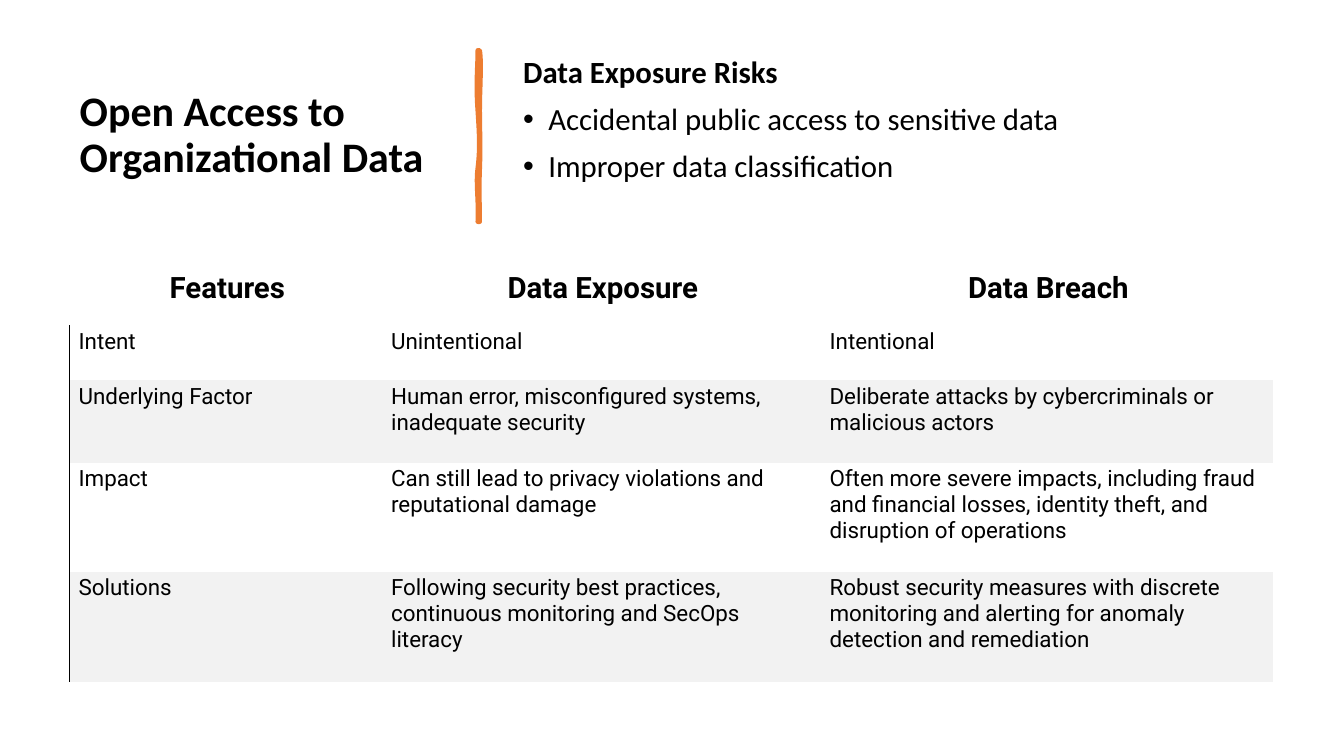
from dataclasses import dataclass

from lxml import etree
from pptx import Presentation
from pptx import util as u
from pptx.dml.color import RGBColor
from pptx.enum import text as t
from pptx.oxml import ns

Pt = u.Pt


# Theme: colours, fonts and type sizes
@dataclass(frozen=True)
class Theme:
    ink: str = "000000"
    accent: str = "ED7D31"
    band: str = "F2F2F2"
    heading_font: str = "Calibri"
    table_font: str = "Roboto"
    title_size: float = 30
    body_size: float = 22
    header_size: float = 21
    cell_size: float = 16


@dataclass(frozen=True)
class Box:
    left: float
    top: float
    width: float
    height: float


@dataclass(frozen=True)
class FeatureRow:
    height: float
    cells: tuple[str, str, str]


THEME = Theme()
TITLE_BOX = Box(49.7, 39.6, 269.3, 115.2)
BODY_BOX = Box(366.5, 39.6, 542.9, 115.2)
TABLE_BOX = Box(49.7, 186.5, 859.7, 300.5)
COLUMN_WIDTHS = (223.2, 313.2, 323.3)
BODY_LINES = (
    "Data Exposure Risks",
    "Accidental public access to sensitive data",
    "Improper data classification",
)
ROWS = (
    FeatureRow(46, ("Features", "Data Exposure", "Data Breach")),
    FeatureRow(39.3, ("Intent", "Unintentional", "Intentional")),
    FeatureRow(58.7, (
        "Underlying Factor",
        "Human error, misconfigured systems, inadequate security",
        "Deliberate attacks by cybercriminals or malicious actors",
    )),
    FeatureRow(78, (
        "Impact",
        "Can still lead to privacy violations and reputational damage",
        "Often more severe impacts, including fraud and financial losses, "
        "identity theft, and disruption of operations",
    )),
    FeatureRow(78.5, (
        "Solutions",
        "Following security best practices, continuous monitoring and SecOps literacy",
        "Robust security measures with discrete monitoring and alerting for "
        "anomaly detection and remediation",
    )),
)

# Divider outline in points: a start, then cubic curves (two controls and an end)
DIVIDER_START = (342.7, 36)
DIVIDER_CURVES = (
    ((344.2, 44.6), (342.7, 63.4), (342.7, 79.2)),
    ((342.7, 95), (343.4, 103.7), (342.7, 121)),
    ((342, 139), (342.7, 143.3), (342.7, 158.4)),
    ((342, 158.4), (342, 158.4), (341.3, 158.4)),
    ((342, 141.1), (339.8, 131.8), (341.3, 120.2)),
    ((342.7, 108.7), (342.7, 99.4), (341.3, 79.2)),
    ((339.8, 59.8), (341.3, 48.2), (341.3, 36)),
)
CURVE_STEPS = 12


def write(paragraph, text: str, *, size: float, font: str, bold: bool = False,
          align=t.PP_ALIGN.LEFT, line_spacing: float = 1.0,
          space_before: float = 0, bullet: str = "", indent: float = 0) -> None:
    """Put formatted text in a paragraph."""
    properties = paragraph._p.get_or_add_pPr()
    properties.set("marL", str(Pt(indent)))
    properties.set("indent", str(-Pt(indent)))
    if bullet:
        etree.SubElement(properties, ns.qn("a:buChar")).set("char", bullet)
    else:
        etree.SubElement(properties, ns.qn("a:buNone"))
    paragraph.alignment = align
    paragraph.line_spacing = line_spacing
    paragraph.space_before = Pt(space_before)
    run = paragraph.add_run()
    run.text = text
    run.font.size = Pt(size)
    run.font.name = font
    run.font.bold = bold
    run.font.color.rgb = RGBColor.from_string(THEME.ink)


def place(shape, box: Box, anchor) -> None:
    """Move a placeholder and fix its text frame."""
    shape.left, shape.top = Pt(box.left), Pt(box.top)
    shape.width, shape.height = Pt(box.width), Pt(box.height)
    frame = shape.text_frame
    frame.word_wrap = True
    frame.auto_size = t.MSO_AUTO_SIZE.NONE
    frame.vertical_anchor = anchor


def add_heading(slide) -> None:
    title = slide.shapes.title
    place(title, TITLE_BOX, t.MSO_ANCHOR.MIDDLE)
    write(title.text_frame.paragraphs[0], "Open Access to Organizational Data",
          size=THEME.title_size, font=THEME.heading_font, bold=True, line_spacing=0.9)


def add_risks(slide) -> None:
    body = slide.placeholders[1]
    place(body, BODY_BOX, t.MSO_ANCHOR.TOP)
    frame = body.text_frame
    frame.margin_top = Pt(0.8)
    for index, line in enumerate(BODY_LINES):
        paragraph = frame.add_paragraph() if index else frame.paragraphs[0]
        write(paragraph, line, size=THEME.body_size, font=THEME.heading_font,
              bold=index == 0, line_spacing=0.9, space_before=10 if index else 0,
              bullet="•" if index else "", indent=18 if index else 0)


def curve_points(start: tuple, curve: tuple) -> list[tuple[int, int]]:
    """Sample one cubic curve."""
    points = []
    for step in range(1, CURVE_STEPS + 1):
        s = step / CURVE_STEPS
        weights = ((1 - s) ** 3, 3 * s * (1 - s) ** 2, 3 * s * s * (1 - s), s ** 3)
        x, y = (sum(w * p[axis] for w, p in zip(weights, (start, *curve)))
                for axis in (0, 1))
        points.append((Pt(x), Pt(y)))
    return points


def add_divider(slide) -> None:
    builder = slide.shapes.build_freeform(Pt(DIVIDER_START[0]), Pt(DIVIDER_START[1]))
    start = DIVIDER_START
    for curve in DIVIDER_CURVES:
        builder.add_line_segments(curve_points(start, curve), close=False)
        start = curve[-1]
    builder.add_line_segments([], close=True)
    divider = builder.convert_to_shape()
    divider.shadow.inherit = False
    accent = RGBColor.from_string(THEME.accent)
    divider.fill.solid()
    divider.fill.fore_color.rgb = accent
    divider.line.color.rgb = accent
    divider.line.width = Pt(3.25)
    etree.SubElement(divider.line._get_or_add_ln(), ns.qn("a:round"))


def add_left_border(cell) -> None:
    border = etree.Element(ns.qn("a:lnL"), w=str(Pt(0.75)))
    fill = etree.SubElement(border, ns.qn("a:solidFill"))
    etree.SubElement(fill, ns.qn("a:srgbClr")).set("val", THEME.ink)
    cell._tc.get_or_add_tcPr().insert(0, border)


def add_comparison(slide) -> None:
    box = TABLE_BOX
    table = slide.shapes.add_table(len(ROWS), len(COLUMN_WIDTHS), Pt(box.left), Pt(box.top),
                                   Pt(box.width), Pt(box.height)).table
    table.horz_banding = False
    # Plain style without grid
    style = table._tbl.tblPr.find(ns.qn("a:tableStyleId"))
    style.text = "{2D5ABB26-0587-4C30-8999-92F81FD0307C}"
    for column, width in zip(table.columns, COLUMN_WIDTHS):
        column.width = Pt(width)
    for row_index, row in enumerate(ROWS):
        table.rows[row_index].height = Pt(row.height)
        header = row_index == 0
        for column_index, label in enumerate(row.cells):
            cell = table.cell(row_index, column_index)
            cell.margin_left, cell.margin_right = Pt(6.5), Pt(4.3)
            cell.margin_top, cell.margin_bottom = Pt(2.2), Pt(14.4)
            cell.vertical_anchor = t.MSO_ANCHOR.BOTTOM if header else t.MSO_ANCHOR.TOP
            if row_index and row_index % 2 == 0:
                cell.fill.solid()
                cell.fill.fore_color.rgb = RGBColor.from_string(THEME.band)
            else:
                cell.fill.background()
            if column_index == 0 and not header:
                add_left_border(cell)
            write(cell.text_frame.paragraphs[0], label, font=THEME.table_font, bold=header,
                  size=THEME.header_size if header else THEME.cell_size,
                  align=t.PP_ALIGN.CENTER if header else t.PP_ALIGN.LEFT)


def main() -> None:
    presentation = Presentation()
    presentation.slide_width, presentation.slide_height = Pt(960), Pt(540)
    slide = presentation.slides.add_slide(presentation.slide_layouts[1])
    add_heading(slide)
    add_divider(slide)
    add_risks(slide)
    add_comparison(slide)
    presentation.save("out.pptx")


if __name__ == "__main__":
    main()
